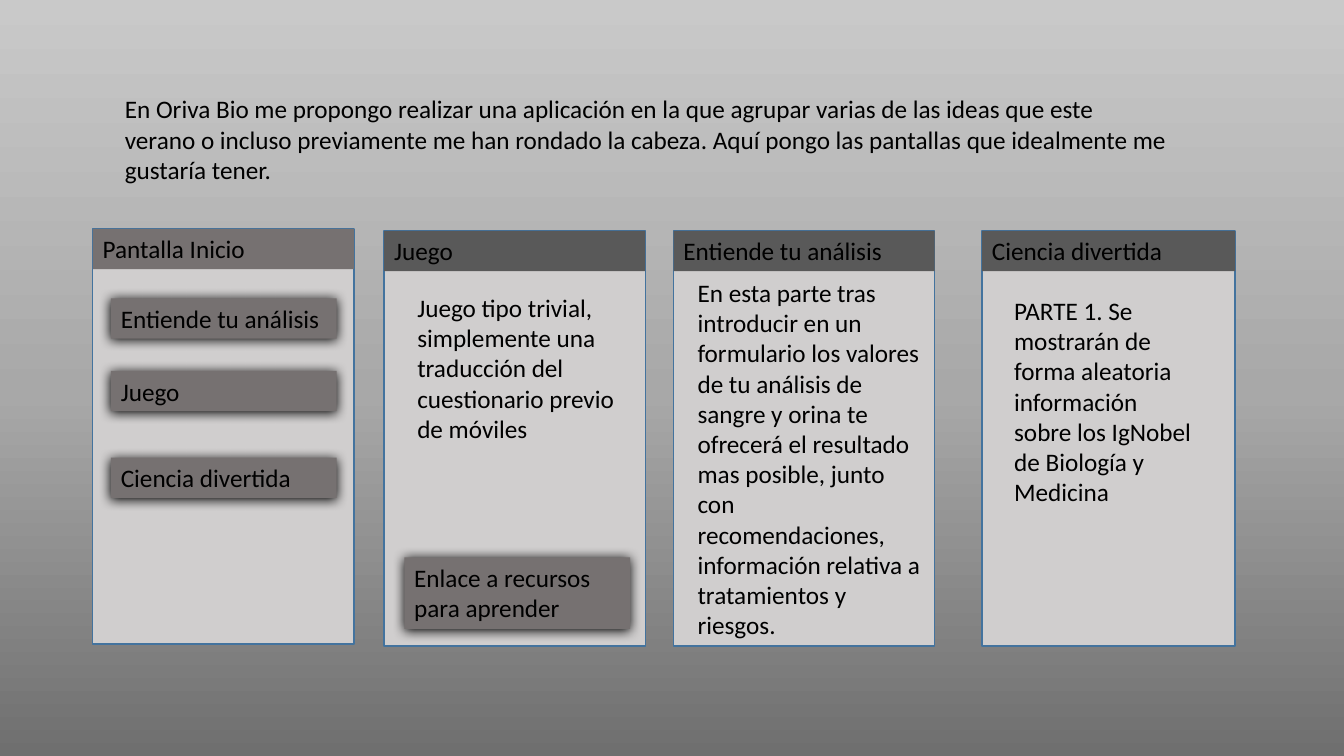
"""Build a slide that sketches the four screens of a biology app."""
from copy import deepcopy

from pptx import Presentation
from pptx.dml.color import RGBColor
from pptx.enum.shapes import MSO_SHAPE as SHAPE
from pptx.enum.text import MSO_AUTO_SIZE as AUTO
from pptx.oxml import parse_xml
from pptx.oxml.ns import nsdecls, qn
from pptx.util import Inches, Pt

INTRO = ("En Oriva Bio me propongo realizar una aplicación en la que agrupar varias de las ideas "
         "que este verano o incluso previamente me han rondado la cabeza. Aquí pongo las pantallas "
         "que idealmente me gustaría tener.")
SCREENS = [
    dict(title="Pantalla Inicio", at=(0.92, 2.27), width=2.59, bar="767171", notes=[],
         buttons=[("Entiende tu análisis", 1.1, 2.96, 0.4),
                  ("Juego", 1.1, 3.68, 0.4),
                  ("Ciencia divertida", 1.1, 4.54, 0.4)]),
    dict(title="Juego", at=(3.81, 2.29), width=2.59, bar="595959",
         notes=[("Juego tipo trivial, simplemente una traducción del cuestionario previo de móviles",
                 4.04, 2.85, 2.21, 1.62)],
         buttons=[("Enlace a recursos para aprender", 4.01, 5.53, 0.71)]),
    dict(title="Entiende tu análisis", at=(6.68, 2.29), width=2.59, bar="595959",
         notes=[("En esta parte tras introducir en un formulario los valores de tu análisis de "
                 "sangre y orina te ofrecerá el resultado mas posible, junto con recomendaciones, "
                 "información relativa a tratamientos y riesgos.", 6.82, 2.7, 2.45, 3.74)],
         buttons=[]),
    dict(title="Ciencia divertida", at=(9.74, 2.29), width=2.51, bar="595959",
         notes=[("PARTE 1. Se mostrarán de forma aleatoria información sobre los IgNobel de "
                 "Biología y Medicina", 9.96, 2.88, 2.02, 2.22)],
         buttons=[]),
]
BACKGROUND = [(0, "6F6F6F"), (0.48, "A8A8A8"), (1, "C9C9C9")]
SCREEN_H, BAR_H, BUTTON_W = 4.12, 0.4, 2.24
PANEL, EDGE, BUTTON, INK = "D0CECE", "43739E", "767171", "000000"


def rgb(value):
    """Turn a hex string into a colour."""
    return RGBColor.from_string(value)


def add_text(shapes, text, x, y, w, h, fill=None):
    """Add a text box, filled if a colour is given."""
    sp = shapes.add_textbox(Inches(x), Inches(y), Inches(w), Inches(h))
    if fill:
        sp.fill.solid()
        sp.fill.fore_color.rgb = rgb(fill)
    tf = sp.text_frame
    tf.word_wrap = True
    tf.auto_size = AUTO.SHAPE_TO_FIT_TEXT
    r = tf.paragraphs[0].add_run()
    r.text = text
    r.font.size = Pt(18)
    r.font.name = "Calibri"
    r.font.color.rgb = rgb(INK)
    return sp


def add_shadow(sp):
    """Give a shape a soft shadow just below it."""
    sp.element.spPr.append(parse_xml(
        f'<a:effectLst {nsdecls("a")}><a:outerShdw blurRad="{Pt(8.5)}" dist="{Pt(1)}" '
        f'dir="5400000" algn="ctr" rotWithShape="0"><a:srgbClr val="{INK}"/>'
        '</a:outerShdw></a:effectLst>'))


def add_screen(s, title, at, width, bar, notes, buttons):
    """Add one app screen as a group."""
    shapes = s.shapes.add_group_shape().shapes
    x, y = at
    panel = shapes.add_shape(SHAPE.RECTANGLE, Inches(x), Inches(y),
                             Inches(width), Inches(SCREEN_H))
    panel.shadow.inherit = False
    panel.fill.solid()
    panel.fill.fore_color.rgb = rgb(PANEL)
    panel.line.color.rgb = rgb(EDGE)
    panel.line.width = Pt(1)
    add_text(shapes, title, x, y, width, BAR_H, bar)
    for note in notes:
        add_text(shapes, *note)
    for label, left, top, height in buttons:
        add_shadow(add_text(shapes, label, left, top, BUTTON_W, height, BUTTON))


def paint_background(s):
    """Fill the slide with a gradient that runs from bottom to top."""
    fill = s.background.fill
    fill.gradient()
    fill.gradient_angle = 90
    stops = s.element.find(".//" + qn("a:gsLst"))
    stops.append(deepcopy(stops[-1]))
    for stop, (position, color) in zip(fill.gradient_stops, BACKGROUND):
        stop.position = position
        stop.color.rgb = rgb(color)


def main():
    """Build and save the deck."""
    prs = Presentation()
    prs.slide_width, prs.slide_height = Inches(13.33), Inches(7.5)
    s = prs.slides.add_slide(prs.slide_layouts[6])
    paint_background(s)
    add_text(s.shapes, INTRO, 1.14, 0.88, 10.53, 1.01)
    for screen in SCREENS:
        add_screen(s, **screen)
    prs.save("out.pptx")


if __name__ == "__main__":
    main()
